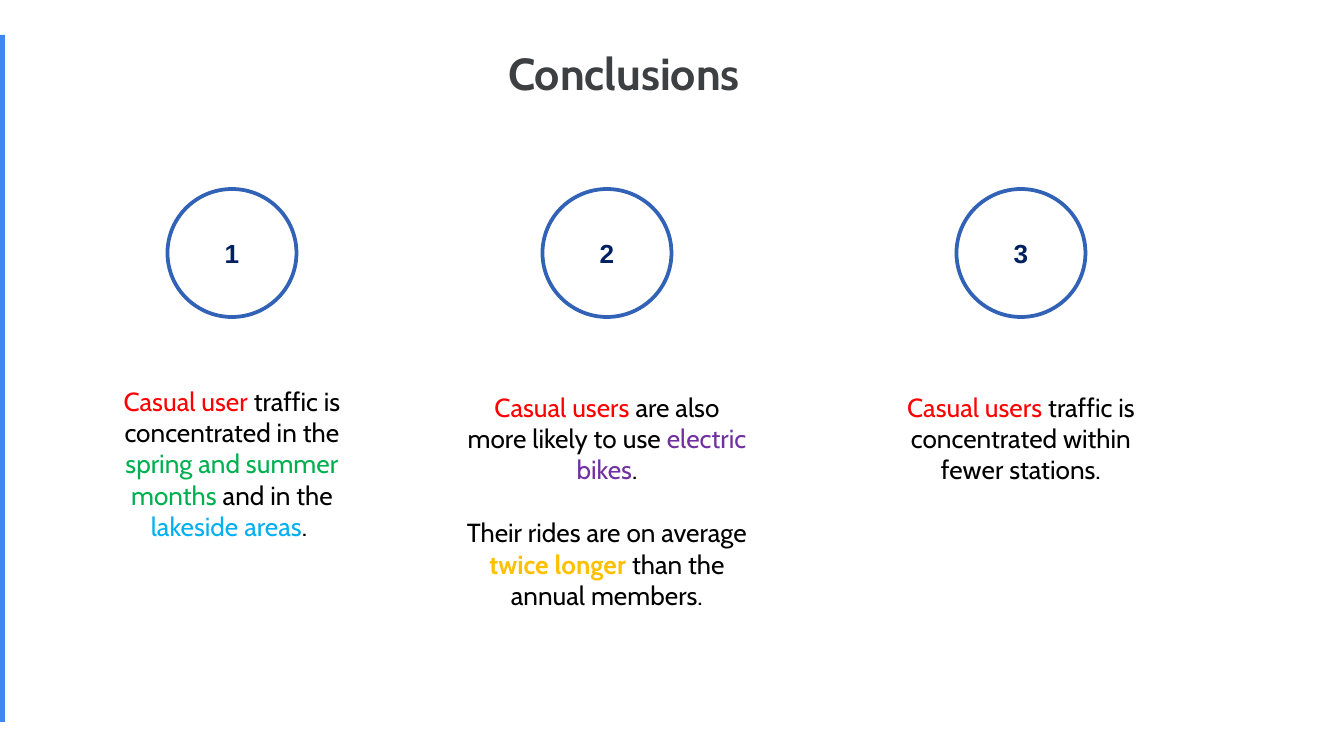
import pptx
import pptx.util
import pptx.dml.color
import pptx.enum.shapes
import pptx.enum.text

RGBColor = pptx.dml.color.RGBColor
MSO_SHAPE = pptx.enum.shapes.MSO_SHAPE
MSO_ANCHOR = pptx.enum.text.MSO_ANCHOR

BLACK = RGBColor(0x00, 0x00, 0x00)
RED = RGBColor(0xFF, 0x00, 0x00)
GREEN = RGBColor(0x00, 0xB0, 0x50)
SKY = RGBColor(0x00, 0xB0, 0xF0)
PURPLE = RGBColor(0x70, 0x30, 0xA0)
AMBER = RGBColor(0xFF, 0xC0, 0x00)
NAVY = RGBColor(0x00, 0x20, 0x60)
CHARCOAL = RGBColor(0x3C, 0x40, 0x43)
RING_BLUE = RGBColor(0x31, 0x62, 0xB5)
BAR_BLUE = RGBColor(0x42, 0x85, 0xF4)

TITLE = "Conclusions"
CONCLUSIONS = [
    {"center": 232, "top": 378, "height": 172, "paragraphs": [
        [("Casual user ", RED), ("traffic is concentrated in the ", BLACK),
         ("spring and summer months ", GREEN), ("and in the ", BLACK),
         ("lakeside areas", SKY), (". ", BLACK)],
    ]},
    {"center": 607, "top": 384, "height": 267, "paragraphs": [
        [("Casual users", RED), (" are also more likely to use ", BLACK),
         ("electric bikes", PURPLE), (".", BLACK)],
        [("Their rides are on average ", BLACK), ("twice longer ", AMBER, True),
         ("than the annual members.", BLACK)],
    ]},
    {"center": 1021, "top": 384, "height": 140, "paragraphs": [
        [("Casual users", RED),
         (" traffic is concentrated within fewer stations.", BLACK)],
    ]},
]

SLIDE_WIDTH, SLIDE_HEIGHT = 1344, 756
RING_TOP, RING_WIDTH, RING_HEIGHT = 189, 129, 128
TEXT_WIDTH = 309
PARAGRAPH_GAP = 17


def px(length):
    return pptx.util.Emu(round(length * 914400 / 134.4))


def box(left, top, width, height):
    return px(left), px(top), px(width), px(height)


def write_text(shape, paragraphs, font="Cabin", size=14, anchor=MSO_ANCHOR.TOP,
               inset=13, line_spacing=None):
    frame = shape.text_frame
    frame.word_wrap = True
    frame.vertical_anchor = anchor
    frame.margin_left = frame.margin_right = px(inset)
    frame.margin_top = frame.margin_bottom = px(min(inset, 7) if size < 20 else inset)
    for index, pieces in enumerate(paragraphs):
        paragraph = frame.add_paragraph() if index else frame.paragraphs[0]
        paragraph.alignment = pptx.enum.text.PP_ALIGN.CENTER
        paragraph.line_spacing = line_spacing
        if index:
            paragraph.space_before = pptx.util.Pt(PARAGRAPH_GAP)
        for text, color, *bold in pieces:
            run = paragraph.add_run()
            run.text = text
            run.font.name = font
            run.font.size = pptx.util.Pt(size)
            run.font.bold = bool(bold)
            run.font.color.rgb = color


def main():
    presentation = pptx.Presentation()
    presentation.slide_width = px(SLIDE_WIDTH)
    presentation.slide_height = px(SLIDE_HEIGHT)
    slide = presentation.slides.add_slide(presentation.slide_layouts[6])
    shapes = slide.shapes

    bar = shapes.add_shape(MSO_SHAPE.RECTANGLE, *box(-3, 35, 8, 687))
    bar.shadow.inherit = False
    bar.fill.solid()
    bar.fill.fore_color.rgb = BAR_BLUE
    bar.line.fill.background()

    title = shapes.add_textbox(*box(51, 39, 1146, 60))
    write_text(title, [[(TITLE, CHARCOAL, True)]], size=24, line_spacing=0.9)

    for number, conclusion in enumerate(CONCLUSIONS, start=1):
        center = conclusion["center"]
        ring = shapes.add_shape(MSO_SHAPE.OVAL, *box(
            center - RING_WIDTH / 2, RING_TOP, RING_WIDTH, RING_HEIGHT))
        ring.shadow.inherit = False
        ring.fill.background()
        ring.line.color.rgb = RING_BLUE
        ring.line.width = pptx.util.Pt(2)
        write_text(ring, [[(str(number), NAVY, True)]], font="Arial",
                   anchor=MSO_ANCHOR.MIDDLE)

        body = shapes.add_textbox(*box(
            center - TEXT_WIDTH / 2, conclusion["top"], TEXT_WIDTH, conclusion["height"]))
        write_text(body, conclusion["paragraphs"])

    presentation.save("out.pptx")


if __name__ == "__main__":
    main()
